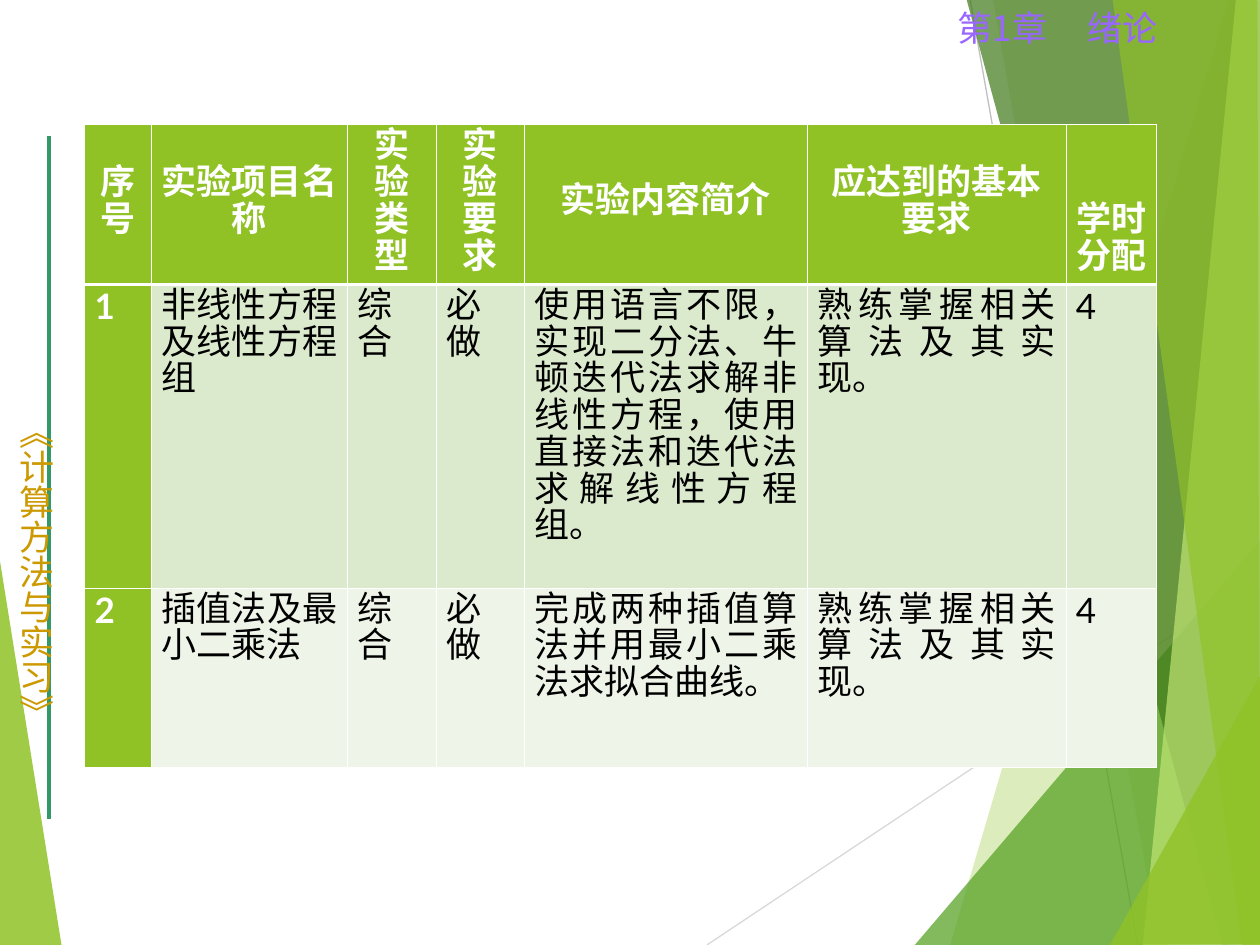
"""Build the course experiment schedule slide."""
from lxml.etree import SubElement
from pptx import Presentation
from pptx.dml.color import RGBColor
from pptx.enum.shapes import MSO_CONNECTOR
from pptx.enum.text import MSO_ANCHOR, PP_ALIGN
from pptx.oxml import parse_xml
from pptx.oxml.ns import nsdecls, qn
from pptx.util import Inches, Pt

COLORS = {
    "lime": "90C226", "green": "54A021", "forest": "3F7819", "pale": "C0E474",
    "light_gray": "D9D9D9", "gray": "BFBFBF", "rule": "339966",
    "chapter": "9966FF", "course": "CC9900", "white": "FFFFFF", "black": "000000",
    "first_row": "DBE9CD", "second_row": "EEF4E8",
}
CJK_FONT = "Noto Sans CJK JP"


def write_text(frame, text, color, font=CJK_FONT, bold=False,
               align=PP_ALIGN.LEFT, line_spacing=None, space_after=None, tab=None):
    paragraph = frame.paragraphs[0]
    properties = paragraph._p.get_or_add_pPr()
    properties.set("hangingPunct", "0")
    if tab:
        tabs = SubElement(properties, qn("a:tabLst"))
        SubElement(tabs, qn("a:tab"), pos=str(tab), algn="l")
    paragraph.alignment = align
    paragraph.line_spacing = line_spacing
    paragraph.space_after = space_after
    run = paragraph.add_run()
    run.text = text
    run.font.size = Pt(20)
    run.font.bold = bold
    run.font.name = font
    run.font.color.rgb = RGBColor.from_string(COLORS[color])
    SubElement(run._r.get_or_add_rPr(), qn("a:ea"), typeface=CJK_FONT)


def add_line(shapes, start, end, color, width):
    line = shapes.add_connector(
        MSO_CONNECTOR.STRAIGHT, *[Inches(value) for value in start + end])
    line.line.color.rgb = RGBColor.from_string(COLORS[color])
    line.line.width = Pt(width)
    SubElement(line._element.spPr, qn("a:effectLst"))


presentation = Presentation()
presentation.slide_width = Inches(10)
presentation.slide_height = Inches(7.5)
slide = presentation.slides.add_slide(presentation.slide_layouts[6])
shapes = slide.shapes

add_line(shapes, (5.61, 7.5), (10.01, 4.57), "light_gray", 0.75)
add_line(shapes, (7.7, 0), (9.03, 7.5), "gray", 0.75)

facets = [
    ("lime", 85, [(-0.01, 4.39), (0.49, 7.51), (-0.01, 7.5)]),
    ("lime", 30, [(9.75, 0), (7.54, 7.5), (10.02, 7.51), (10.01, 0.01)]),
    ("lime", 20, [(7.88, -0.01), (9.2, 7.5), (10.01, 7.5), (10.01, -0.01)]),
    ("green", 72, [(7.26, 7.5), (10, 4.29), (10.01, 7.5)]),
    ("forest", 70, [(7.67, -0.01), (9.7, 7.5), (10.01, 7.49), (10.01, -0.01)]),
    ("pale", 70, [(9.81, -0.01), (9.07, 7.5), (10.01, 7.5), (10, -0.01)]),
    ("lime", 65, [(8.83, -0.01), (9.86, 7.5), (10, 7.5), (9.98, -0.01)]),
    ("lime", 80, [(8.81, 7.5), (10.01, 5.35), (10.01, 7.49)]),
]
for color, opacity, points in facets:
    corners = [(Inches(x), Inches(y)) for x, y in points]
    builder = shapes.build_freeform(*corners[0])
    builder.add_line_segments(corners[1:], close=True)
    facet = builder.convert_to_shape()
    facet.shadow.inherit = False
    facet.line.fill.background()
    facet.fill.solid()
    facet.fill.fore_color.rgb = RGBColor.from_string(COLORS[color])
    fill_color = facet._element.spPr.find(qn("a:solidFill"))[0]
    SubElement(fill_color, qn("a:alpha"), val=str(opacity * 1000))

chapter_box = shapes.add_textbox(Inches(6.67), Inches(0), Inches(2.92), Inches(0.44))
chapter_box.text_frame.word_wrap = True
chapter_box.text_frame.margin_left = Inches(0.93)
write_text(chapter_box.text_frame, "第1章\t绪论", "chapter", tab=Inches(1.03))

add_line(shapes, (0.39, 1.08), (0.39, 6.5), "rule", 2.25)

course_box = shapes.add_textbox(Inches(-0.03), Inches(1.75), Inches(0.53), Inches(4.83))
course_frame = course_box.text_frame
course_frame.word_wrap = True
course_frame.margin_left = course_frame.margin_right = Inches(0.05)
course_frame.margin_top = Inches(1.54)
course_frame.margin_bottom = Inches(0.1)
course_frame._txBody.bodyPr.set("vert", "eaVert")
write_text(course_frame, "《计算方法与实习》", "course")

rows = [
    ["序号", "实验项目名称", "实验类型", "实验要求", "实验内容简介",
     "应达到的基本要求", "学时分配"],
    ["1", "非线性方程及线性方程组", "综合", "必做",
     "使用语言不限，实现二分法、牛顿迭代法求解非线性方程，使用直接法和迭代法求解线性方程组。",
     "熟练掌握相关算法及其实现。", "4"],
    ["2", "插值法及最小二乘法", "综合", "必做",
     "完成两种插值算法并用最小二乘法求拟合曲线。",
     "熟练掌握相关算法及其实现。", "4"],
]
column_widths = [0.53, 1.56, 0.7, 0.7, 2.25, 2.05, 0.72]
row_heights = [1.17, 2.41, 1.42]
row_fills = ["lime", "first_row", "second_row"]
table = shapes.add_table(len(rows), len(column_widths), Inches(0.67), Inches(0.99),
                         Inches(8.51), Inches(4.99)).table
for column, width in zip(table.columns, column_widths):
    column.width = Inches(width)
for row, height in zip(table.rows, row_heights):
    row.height = Inches(height)

for row_index, row_texts in enumerate(rows):
    for column_index, text in enumerate(row_texts):
        cell = table.cell(row_index, column_index)
        is_header = row_index == 0
        is_strong = is_header or column_index == 0
        cell.margin_left = cell.margin_right = Inches(0.08)
        cell.vertical_anchor = MSO_ANCHOR.TOP
        if is_header:
            cell.vertical_anchor = MSO_ANCHOR.BOTTOM if column_index == 6 else MSO_ANCHOR.MIDDLE
        cell.fill.solid()
        cell.fill.fore_color.rgb = RGBColor.from_string(
            COLORS["lime" if is_strong else row_fills[row_index]])
        thick_side = {0: "B", 1: "T"}.get(row_index)
        for position, side in enumerate("LRTB"):
            width = Pt(1.47 if side == thick_side else 0.45)
            cell._tc.get_or_add_tcPr().insert(position, parse_xml(
                f'<a:ln{side} {nsdecls("a")} w="{width}"><a:solidFill>'
                f'<a:srgbClr val="{COLORS["white"]}"/></a:solidFill></a:ln{side}>'))
        write_text(cell.text_frame, text, "white" if is_strong else "black",
                   font="Lato", bold=is_strong, line_spacing=Pt(21),
                   align=PP_ALIGN.CENTER if is_header else PP_ALIGN.JUSTIFY,
                   space_after=Pt(6) if is_header and column_index == 5 else None)

presentation.save("out.pptx")
